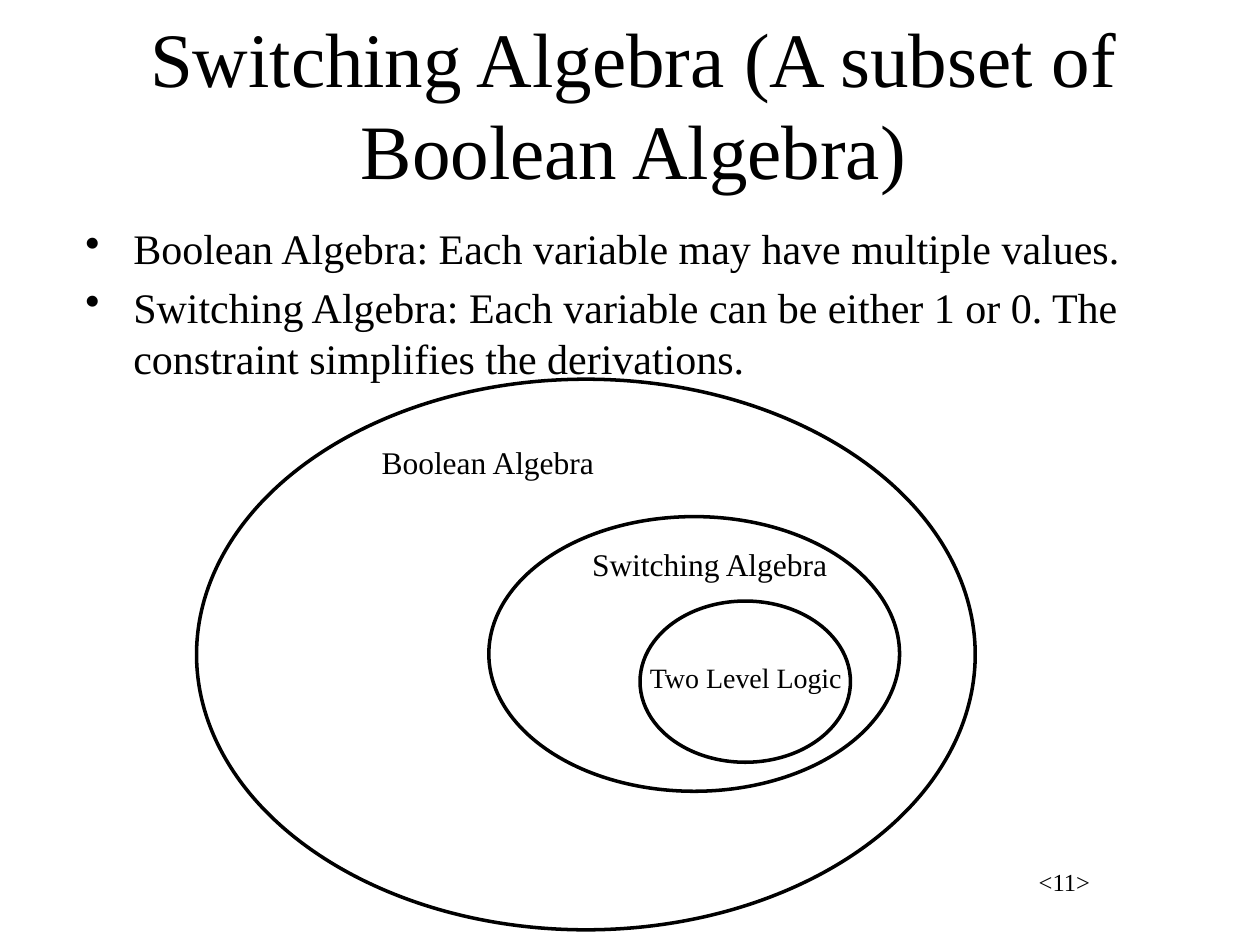
import pptx
import pptx.util
import pptx.dml.color
import pptx.enum.shapes
import pptx.enum.text
import lxml.etree

INK = "000000"
FONT = "Times New Roman"
ALIGN = pptx.enum.text.PP_ALIGN
ANCHOR = pptx.enum.text.MSO_ANCHOR

deck = pptx.Presentation()
deck.slide_width = pptx.util.Inches(10)
deck.slide_height = pptx.util.Inches(7.5)
column = deck.slide_width // 100
row = deck.slide_height // 75
slide = deck.slides.add_slide(deck.slide_layouts[5])


def colour(value):
    return pptx.dml.color.RGBColor.from_string(value)


def write(holder, lines, size, align=ALIGN.LEFT, anchor=ANCHOR.TOP, wrap=True):
    frame = holder.text_frame
    frame.text = "\n".join(lines)
    frame.word_wrap = wrap
    frame.auto_size = pptx.enum.text.MSO_AUTO_SIZE.NONE
    frame.vertical_anchor = anchor
    for paragraph in frame.paragraphs:
        paragraph.alignment = align
        for run in paragraph.runs:
            run.font.name = FONT
            run.font.size = pptx.util.Pt(size)
            run.font.color.rgb = colour(INK)
    return frame


title = slide.shapes.title
title.left, title.top = int(7.8 * column), int(1.9 * row)
title.width, title.height = 85 * column, int(12.5 * row)
write(title, ["Switching Algebra (A subset of Boolean Algebra)"], 44, ALIGN.CENTER, ANCHOR.MIDDLE)

definitions = slide.shapes.add_textbox(
    int(5.8 * column), int(17.2 * row), int(86.7 * column), int(14.8 * row))
definition_frame = write(definitions, [
    "Boolean Algebra: Each variable may have multiple values.",
    "Switching Algebra: Each variable can be either 1 or 0. The constraint simplifies the derivations.",
], 24)
definition_frame.paragraphs[1].space_before = pptx.util.Pt(4.8)
indent = pptx.util.Inches(0.38)
for paragraph in definition_frame.paragraphs:
    properties = paragraph._p.get_or_add_pPr()
    properties.set("marL", str(indent))
    properties.set("indent", str(-indent))
    bullet = lxml.etree.SubElement(properties, pptx.oxml.ns.qn("a:buChar"))
    bullet.set("char", "•")

nested_sets = [
    ("Boolean Algebra", 18, (15.6, 30.1, 61.8, 43.7), (29.3, 34.7, 19.1, 4)),
    ("Switching Algebra", 18, (38.8, 41, 32.6, 21.8), (46, 42.8, 20.9, 4)),
    ("Two Level Logic", 16, (50.8, 47.7, 16.7, 12.8), (50.6, 51.9, 17.4, 3.7)),
]
for name, size, region_place, label_place in nested_sets:
    left, top, width, height = region_place
    region = slide.shapes.add_shape(
        pptx.enum.shapes.MSO_SHAPE.OVAL,
        int(left * column), int(top * row), int(width * column), int(height * row))
    region.shadow.inherit = False
    region.fill.background()
    region.line.color.rgb = colour(INK)
    region.line.width = pptx.util.Pt(2)

    left, top, width, height = label_place
    label = slide.shapes.add_textbox(
        int(left * column), int(top * row), int(width * column), int(height * row))
    write(label, [name], size, wrap=False)

page_number = slide.shapes.add_textbox(
    int(66.7 * column), int(68.3 * row), int(20.8 * column), 5 * row)
write(page_number, ["<11>"], 14, ALIGN.RIGHT)

deck.save("out.pptx")
